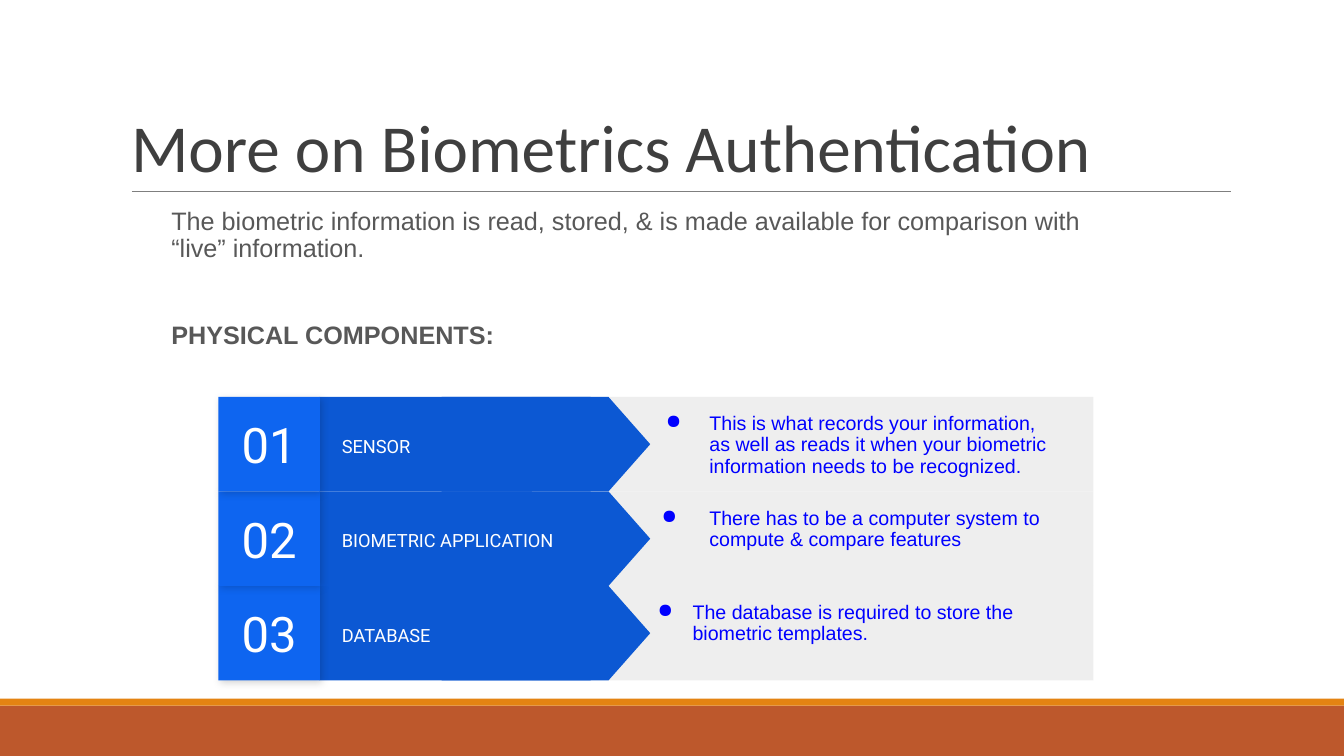
from lxml import etree
from pptx import Presentation
from pptx.dml.color import RGBColor
from pptx.enum.shapes import MSO_CONNECTOR, MSO_SHAPE as SHAPE
from pptx.enum.text import MSO_ANCHOR as ANCHOR, PP_ALIGN as ALIGN
from pptx.oxml import parse_xml
from pptx.oxml.ns import nsdecls, qn
from pptx.util import Pt

RUST = RGBColor(0xBD, 0x58, 0x2C)
ORANGE = RGBColor(0xE4, 0x83, 0x12)
RULE_GRAY = RGBColor(0x7F, 0x7F, 0x7F)
TITLE_GRAY = RGBColor(0x3F, 0x3F, 0x3F)
BODY_GRAY = RGBColor(0x58, 0x58, 0x58)
PANEL_GRAY = RGBColor(0xEE, 0xEE, 0xEE)
ARROW_BLUE = RGBColor(0x0C, 0x58, 0xD3)
NUMBER_BLUE = RGBColor(0x0E, 0x65, 0xF0)
LINK_BLUE = RGBColor(0x00, 0x00, 0xFF)
WHITE = RGBColor(0xFF, 0xFF, 0xFF)

prs = Presentation()
prs.slide_width, prs.slide_height = Pt(960), Pt(540)
s = prs.slides.add_slide(prs.slide_layouts[5])


def add_block(kind, left, top, width, height, color):
    sp = s.shapes.add_shape(kind, Pt(left), Pt(top), Pt(width), Pt(height))
    sp.shadow.inherit = False
    sp.fill.solid()
    sp.fill.fore_color.rgb = color
    sp.line.fill.background()
    return sp


def set_text(sp, lines, font, size, color, spacing, anchor, insets):
    """Fill a shape with paragraphs; insets are left, top, right, bottom."""
    tf = sp.text_frame
    tf.word_wrap = True
    tf.vertical_anchor = anchor
    tf.margin_left, tf.margin_top, tf.margin_right, tf.margin_bottom = map(Pt, insets)
    for i, line in enumerate(lines):
        p = tf.add_paragraph() if i else tf.paragraphs[0]
        p.text = line
        p.alignment = ALIGN.LEFT
        p.line_spacing = spacing
        f = p.runs[0].font
        f.name, f.size, f.color.rgb = font, Pt(size), color
    return tf.paragraphs


# Footer bands and title rule
add_block(SHAPE.RECTANGLE, 0, 504, 960, 36, RUST)
add_block(SHAPE.RECTANGLE, 0, 499, 960, 5, ORANGE)
rule = s.shapes.add_connector(MSO_CONNECTOR.STRAIGHT, Pt(94.3), Pt(136.6), Pt(879), Pt(136.6))
rule.line.color.rgb = RULE_GRAY
rule.line.width = Pt(0.75)
etree.SubElement(rule._element.spPr, qn("a:effectLst"))

# Title and introduction
title = s.shapes.title
title.left, title.top, title.width, title.height = Pt(86.4), Pt(22.3), Pt(792), Pt(114.5)
set_text(title, ["More on Biometrics\tAuthentication"], "Calibri", 48, TITLE_GRAY,
         0.85, ANCHOR.BOTTOM, (7.2, 3.6, 7.2, 3.6))

intro = s.shapes.add_textbox(Pt(86.4), Pt(145.4), Pt(715.7), Pt(120))
paragraphs = set_text(
    intro,
    ["The biometric information is read, stored, & is made available for comparison "
     "with “live” information.", "PHYSICAL COMPONENTS:"],
    "Arial", 18, BODY_GRAY, 0.9, ANCHOR.TOP, (36, 3.6, 0, 3.6))
paragraphs[1].space_before = Pt(43)
paragraphs[1].runs[0].font.bold = True

# Component rows: label, description, description width, text indent, bullet hang
ROWS = [
    ("SENSOR", "This is what records your information, as well as reads it when your "
     "biometric information needs to be recognized.", 312, 48, 31),
    ("BIOMETRIC APPLICATION", "There has to be a computer system to compute & compare "
     "features", 332, 48, 34),
    ("DATABASE", "The database is required to store the biometric templates.", 312, 36, 25),
]
ROW_TOP, ROW_H, ARROW_LEN = 283.5, 67.5, 149
INSETS = (9.4, 9.4, 9.4, 9.4)

for number, (label, description, width, indent, hang) in reversed(list(enumerate(ROWS, 1))):
    top = ROW_TOP + (number - 1) * ROW_H
    add_block(SHAPE.RECTANGLE, 380, top, 401, ROW_H, PANEL_GRAY)
    add_block(SHAPE.RECTANGLE, 228.3, top, 193.7, ROW_H, ARROW_BLUE)
    # Upright box turned about its centre so that the tip points right
    arrow = add_block(SHAPE.FLOWCHART_OFFPAGE_CONNECTOR, 390 - ROW_H / 2,
                      top + (ROW_H - ARROW_LEN) / 2, ROW_H, ARROW_LEN, ARROW_BLUE)
    arrow.rotation = 270

    box = s.shapes.add_textbox(Pt(234.8), Pt(top + 8), Pt(204), Pt(52))
    set_text(box, [label], "Roboto", 13, WHITE, 1.15, ANCHOR.MIDDLE, INSETS)

    square = add_block(SHAPE.RECTANGLE, 156, top, 72.5, ROW_H, NUMBER_BLUE)
    square._element.spPr.find(qn("a:effectLst")).append(parse_xml(
        f'<a:outerShdw {nsdecls("a")} blurRad="{Pt(5.6)}" dist="{Pt(2.2)}" dir="2700000">'
        '<a:srgbClr val="000000"><a:alpha val="17000"/></a:srgbClr></a:outerShdw>'))
    p = set_text(square, [f"{number:02}"], "Roboto", 35, WHITE, 1.0, ANCHOR.MIDDLE, INSETS)[0]
    p.alignment = ALIGN.CENTER

    box = s.shapes.add_textbox(Pt(449.3), Pt(top), Pt(width), Pt(ROW_H))
    p = set_text(box, [description], "Arial", 14, LINK_BLUE, 0.9, ANCHOR.TOP,
                 (9.4, 12, 9.4, 0))[0]
    pPr = p._p.get_or_add_pPr()
    pPr.set("marL", str(Pt(indent)))
    pPr.set("indent", str(-Pt(hang)))
    etree.SubElement(pPr, qn("a:buChar"), char="●")

prs.save("out.pptx")
